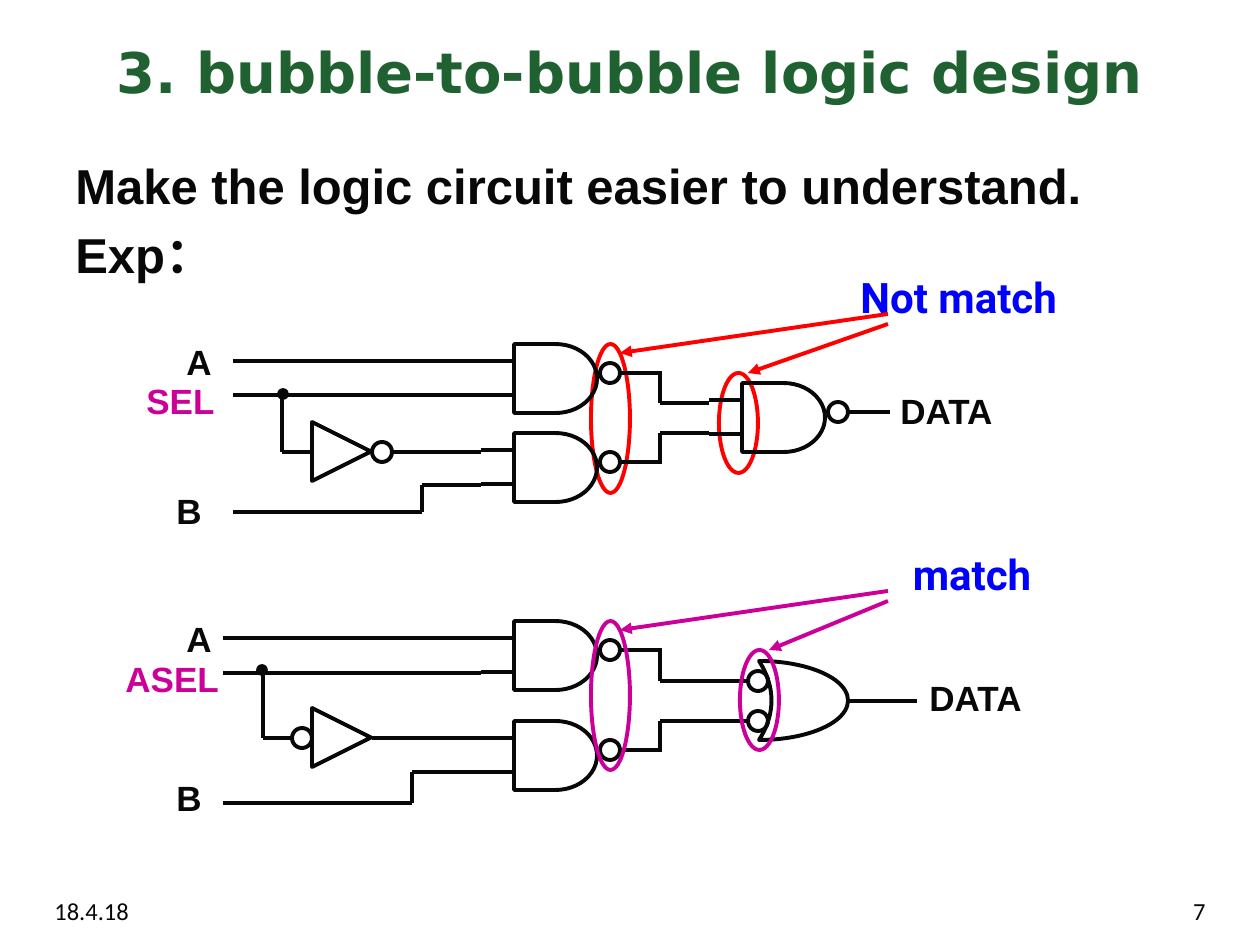
import pptx
import pptx.util
import pptx.dml.color
import pptx.enum.shapes
import pptx.enum.text
import pptx.oxml.ns
from lxml import etree

RGB = pptx.dml.color.RGBColor
SHAPE = pptx.enum.shapes.MSO_SHAPE
ALIGN = pptx.enum.text.PP_ALIGN
ANCHOR = pptx.enum.text.MSO_ANCHOR

INK = RGB(0x08, 0x08, 0x08)
GREEN = RGB(0x1F, 0x61, 0x30)
RED = RGB(0xFF, 0x00, 0x00)
MAGENTA = RGB(0xCC, 0x00, 0x99)
BLUE = RGB(0x00, 0x00, 0xFF)

EMU_PER_PX = 914400 / 126
BUBBLE = 20    # diameter of an inversion bubble
DOT = 10       # diameter of a wire junction
HANG = 48      # hanging indent

FOOTER = dict(size=14, name="Calibri", color=INK)
TITLE = dict(size=32, name="DejaVu Sans", color=GREEN, bold=True)
BODY = dict(size=28, name="Arial", color=INK, bold=True)
LABEL = dict(size=20, name="Arial", color=INK, bold=True)
SELECT = dict(LABEL, color=MAGENTA)
NOTE = dict(size=24, name="Roboto", color=BLUE, bold=True)


def px(n):
    return pptx.util.Emu(round(n * EMU_PER_PX))


def set_font(font, fmt):
    for key, value in fmt.items():
        if key == "color":
            font.color.rgb = value
        elif key == "size":
            font.size = pptx.util.Pt(value)
        else:
            setattr(font, key, value)


def text(s, box, lines, fmt, align=ALIGN.LEFT, anchor=ANCHOR.TOP, hang=0):
    tf = s.shapes.add_textbox(*map(px, box)).text_frame
    tf.word_wrap = True
    tf.vertical_anchor = anchor
    for i, line in enumerate(lines):
        p = tf.paragraphs[0] if i == 0 else tf.add_paragraph()
        p.alignment = align
        if i:
            p.space_before = pptx.util.Pt(6)
        if hang:
            pPr = p._p.get_or_add_pPr()
            pPr.set("marL", str(px(hang)))
            pPr.set("indent", str(-px(hang)))
        r = p.add_run()
        r.text = line
        set_font(r.font, fmt)


def outline(s, kind, box, color=INK, rotation=0):
    sp = s.shapes.add_shape(kind, *map(px, box))
    sp.shadow.inherit = False
    sp.rotation = rotation
    sp.fill.background()
    sp.line.color.rgb = color
    sp.line.width = pptx.util.Pt(2.25)
    return sp


def line(s, start, end, color=INK, width=2, arrow=False):
    c = s.shapes.add_connector(pptx.enum.shapes.MSO_CONNECTOR.STRAIGHT,
                               *map(px, start + end))
    c.line.color.rgb = color
    c.line.width = pptx.util.Pt(width)
    if arrow:
        etree.SubElement(c.line._get_or_add_ln(), pptx.oxml.ns.qn("a:tailEnd"),
                         type="triangle")
    etree.SubElement(c._element.spPr, pptx.oxml.ns.qn("a:effectLst"))


def wires(s, x, y, paths):
    """Draw each path as straight segments between its points."""
    for path in paths:
        points = [(x + dx, y + dy) for dx, dy in path]
        for start, end in zip(points, points[1:]):
            line(s, start, end)


def bubble(s, x, y):
    outline(s, SHAPE.OVAL, (x, y, BUBBLE, BUBBLE))


def nand(s, x, y):
    """NAND gate with two input stubs and one output stub."""
    outline(s, SHAPE.FLOWCHART_DELAY, (x, y, 83, 69))
    bubble(s, x + 86, y + 19)
    wires(s, x, y, [[(0, 17), (-33, 17)], [(0, 51), (-33, 51)],
                    [(106, 29), (148, 29)]])


def inverter(s, x, y, bubble_dx):
    outline(s, SHAPE.ISOSCELES_TRIANGLE, (x, y, 59, 59), rotation=90)
    bubble(s, x + bubble_dx, y + 20)


def junction(s, x, y):
    sp = outline(s, SHAPE.OVAL, (x, y, DOT, DOT))
    sp.fill.solid()
    sp.fill.fore_color.rgb = INK
    sp.line.width = pptx.util.Pt(1)


def labels(s, x, y, items):
    for dx, dy, w, word, fmt in items:
        text(s, (x + dx, y + dy, w, 54), [word], fmt)


def mismatched_circuit(s, x, y):
    for dx, dy in ((414, 0), (414, 89), (642, 39)):
        nand(s, x + dx, y + dy)
    inverter(s, x + 212, y + 78, 60)
    wires(s, x, y, [
        [(133, 17), (381, 17)],                           # A
        [(133, 51), (381, 51)],                           # SEL
        [(182, 51), (182, 108), (212, 108)],              # SEL to inverter
        [(292, 108), (381, 108)],                         # inverter output
        [(133, 168), (322, 168), (322, 141), (381, 141)],  # B
        [(560, 29), (560, 59), (609, 59)],
        [(560, 118), (560, 89), (609, 89)],
    ])
    junction(s, x + 178, y + 45)
    labels(s, x, y, [(74, -10, 49, "A", LABEL), (64, 139, 49, "B", LABEL),
                     (34, 29, 110, "SEL", SELECT),
                     (788, 39, 149, "DATA", LABEL)])


def matched_circuit(s, x, y):
    for dy in (0, 100):
        nand(s, x + 414, y + dy)
    inverter(s, x + 212, y + 87, -20)
    # OR gate with inverted inputs
    gate = outline(s, SHAPE.MOON, (x + 659, y + 40, 89, 79), rotation=180)
    gate.adjustments[0] = 0.86
    for dy in (50, 90):
        bubble(s, x + 648, y + dy)
    wires(s, x, y, [
        [(123, 17), (381, 17)],                           # A
        [(123, 52), (381, 52)],                           # ASEL
        [(163, 52), (163, 117), (192, 117)],              # ASEL to inverter
        [(272, 117), (391, 117)],                         # inverter output
        [(123, 182), (312, 182), (312, 151), (381, 151)],  # B
        [(560, 29), (560, 60), (648, 60)],
        [(560, 129), (560, 100), (648, 100)],
        [(748, 80), (817, 80)],                           # DATA
    ])
    junction(s, x + 157, y + 44)
    labels(s, x, y, [(74, -10, 49, "A", LABEL), (64, 149, 49, "B", LABEL),
                     (13, 30, 120, "ASEL", SELECT),
                     (817, 49, 149, "DATA", LABEL)])


def callout(s, x, y, word, color, ring_dx, align):
    """Ring the outputs and inputs and point the remark at both rings."""
    outline(s, SHAPE.OVAL, (x + 491, y, 39, 149), color)
    outline(s, SHAPE.OVAL, (x + ring_dx, y + 29, 39, 100), color)
    text(s, (x + 748, y - 79, 248, 63), [word], NOTE, align, hang=HANG)
    for start_dy, end in ((-30, (520, 9)), (-20, (ring_dx + 29, 29))):
        line(s, (x + 788, y + start_dy), (x + end[0], y + end[1]),
             color, 2.25, arrow=True)


def heading(s, x, y, w):
    text(s, (x, y, w, 78), ["3. bubble-to-bubble logic design"], TITLE,
         ALIGN.CENTER, ANCHOR.MIDDLE)


def body(s, x, y, w, h):
    text(s, (x, y, w, h),
         ["Make the logic circuit easier to understand.", "Exp："],
         BODY, hang=HANG)


def footer(s, x, y, w):
    text(s, (x, y, 315, 37), ["18.4.18"], FOOTER)
    text(s, (x + w - 315, y, 315, 37), ["7"], FOOTER, ALIGN.RIGHT)


def main():
    prs = pptx.Presentation()
    prs.slide_width, prs.slide_height = px(1260), px(945)
    s = prs.slides.add_slide(prs.slide_layouts[6])
    footer(s, 42, 890, 1176)
    heading(s, 42, 32, 1176)
    body(s, 63, 149, 1134, 695)
    callout(s, 100, 344, "Not match", RED, 619, ALIGN.LEFT)
    mismatched_circuit(s, 100, 344)
    matched_circuit(s, 100, 621)
    callout(s, 100, 621, "match", MAGENTA, 640, ALIGN.CENTER)
    prs.save("out.pptx")


if __name__ == "__main__":
    main()
